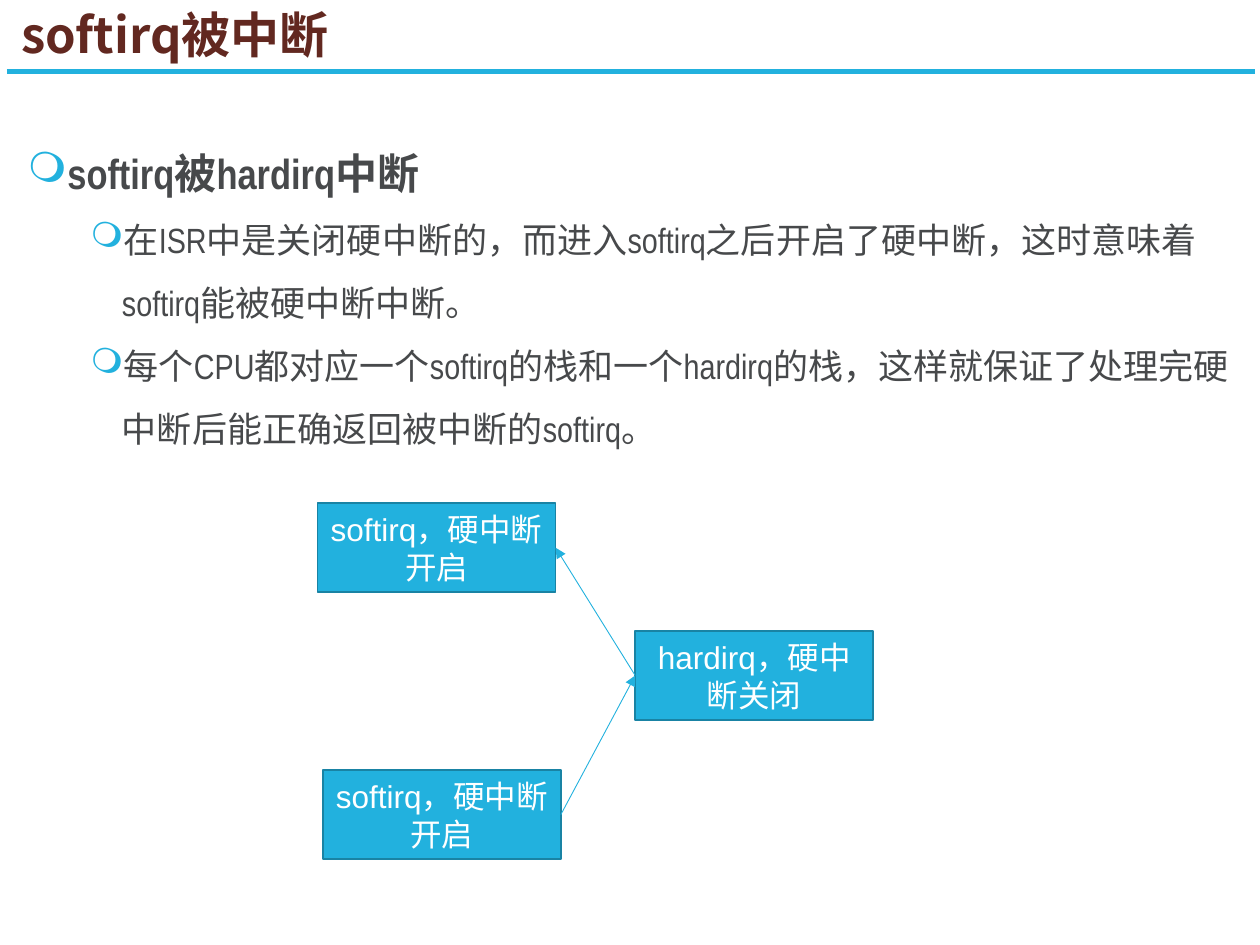
from typing import NamedTuple

from lxml.etree import SubElement
from pptx import Presentation
from pptx.dml.color import RGBColor
from pptx.enum.shapes import MSO_CONNECTOR, MSO_SHAPE
from pptx.enum.text import MSO_ANCHOR as Anchor, PP_ALIGN as Align
from pptx.oxml.ns import qn
from pptx.util import Pt

BLUE = RGBColor(0x22, 0xB1, 0xDE)
DARK_BLUE = RGBColor(0x19, 0x83, 0xA4)
BROWN = RGBColor(0x62, 0x28, 0x20)
GRAY = RGBColor(0x47, 0x49, 0x4B)
WHITE = RGBColor(0xFF, 0xFF, 0xFF)
CJK_FONT = "Noto Sans CJK SC"
BOX_W, BOX_H = 136, 51


class Bullet(NamedTuple):
    text: str
    level: int
    margin: float
    size: float
    bold: bool


class Box(NamedTuple):
    text: str
    left: float
    top: float

    @property
    def left_mid(self) -> tuple[float, float]:
        return self.left, self.top + BOX_H / 2

    @property
    def right_mid(self) -> tuple[float, float]:
        return self.left + BOX_W, self.top + BOX_H / 2


BULLETS = [
    Bullet("softirq被hardirq中断", 0, 18, 24, True),
    Bullet("在ISR中是关闭硬中断的，而进入softirq之后开启了硬中断，"
           "这时意味着softirq能被硬中断中断。", 1, 54, 20, False),
    Bullet("每个CPU都对应一个softirq的栈和一个hardirq的栈，"
           "这样就保证了处理完硬中断后能正确返回被中断的softirq。", 1, 54, 20, False),
]
INTERRUPTED = Box("softirq，硬中断开启", 184.5, 440)
RESUMED = Box("softirq，硬中断开启", 181.5, 287.5)
HANDLER = Box("hardirq，硬中断关闭", 363, 360.5)


def style_run(r, size: float, font: str, color: RGBColor, bold: bool = False) -> None:
    r.font.size = Pt(size)
    r.font.name = font
    r.font.bold = bold
    r.font.color.rgb = color
    SubElement(r.font._element, qn("a:ea"), typeface=CJK_FONT)


def add_text_frame(s, left: float, top: float, width: float, height: float):
    tf = s.shapes.add_textbox(Pt(left), Pt(top), Pt(width), Pt(height)).text_frame
    tf.word_wrap = True
    return tf


def set_bullet(p, margin: float) -> None:
    """Give the paragraph a hanging blue ring bullet."""
    pPr = p._p.get_or_add_pPr()
    pPr.set("marL", str(Pt(margin)))
    pPr.set("indent", str(Pt(-18)))
    color = SubElement(pPr, qn("a:buClr"))
    SubElement(color, qn("a:srgbClr"), val=str(BLUE))
    SubElement(pPr, qn("a:buChar"), char="❍")


def add_title(s, text: str) -> None:
    tf = add_text_frame(s, 5, 1.5, 662, 39.5)
    tf.vertical_anchor = Anchor.MIDDLE
    tf.text = text
    p = tf.paragraphs[0]
    p.line_spacing = 0.9
    style_run(p.runs[0], 28, CJK_FONT, BROWN, True)


def add_body(s, bullets: list[Bullet]) -> None:
    tf = add_text_frame(s, 8.6, 66.2, 711.4, 442)
    tf.text = "\n".join(b.text for b in bullets)
    for p, b in zip(tf.paragraphs, bullets):
        p.level = b.level
        p.line_spacing = 1.5
        set_bullet(p, b.margin)
        style_run(p.runs[0], b.size, "Arial Narrow", GRAY, b.bold)


def add_box(s, box: Box) -> None:
    sp = s.shapes.add_shape(MSO_SHAPE.RECTANGLE, Pt(box.left), Pt(box.top),
                            Pt(BOX_W), Pt(BOX_H))
    sp.shadow.inherit = False
    sp.fill.solid()
    sp.fill.fore_color.rgb = BLUE
    sp.line.color.rgb = DARK_BLUE
    sp.line.width = Pt(1)
    tf = sp.text_frame
    tf.word_wrap = True
    tf.vertical_anchor = Anchor.MIDDLE
    tf.text = box.text
    p = tf.paragraphs[0]
    p.alignment = Align.CENTER
    style_run(p.runs[0], 18, "Arial", WHITE)


def add_line(s, start: tuple[float, float], end: tuple[float, float],
             width: float, arrow: bool = False) -> None:
    line = s.shapes.add_connector(MSO_CONNECTOR.STRAIGHT,
                                  *(Pt(v) for v in (*start, *end)))
    line.line.color.rgb = BLUE
    line.line.width = Pt(width)
    if arrow:
        SubElement(line.line._get_or_add_ln(), qn("a:tailEnd"), type="triangle")
    SubElement(line._element.spPr, qn("a:effectLst"))


def main() -> None:
    prs = Presentation()
    prs.slide_width, prs.slide_height = Pt(720), Pt(540)
    s = prs.slides.add_slide(prs.slide_layouts[6])
    add_line(s, (4, 41), (717, 41), 3)
    add_title(s, "softirq被中断")
    add_body(s, BULLETS)
    for box in (INTERRUPTED, RESUMED, HANDLER):
        add_box(s, box)
    add_line(s, INTERRUPTED.right_mid, HANDLER.left_mid, 0.5, arrow=True)
    add_line(s, HANDLER.left_mid, RESUMED.right_mid, 0.5, arrow=True)
    prs.save("out.pptx")


if __name__ == "__main__":
    main()
